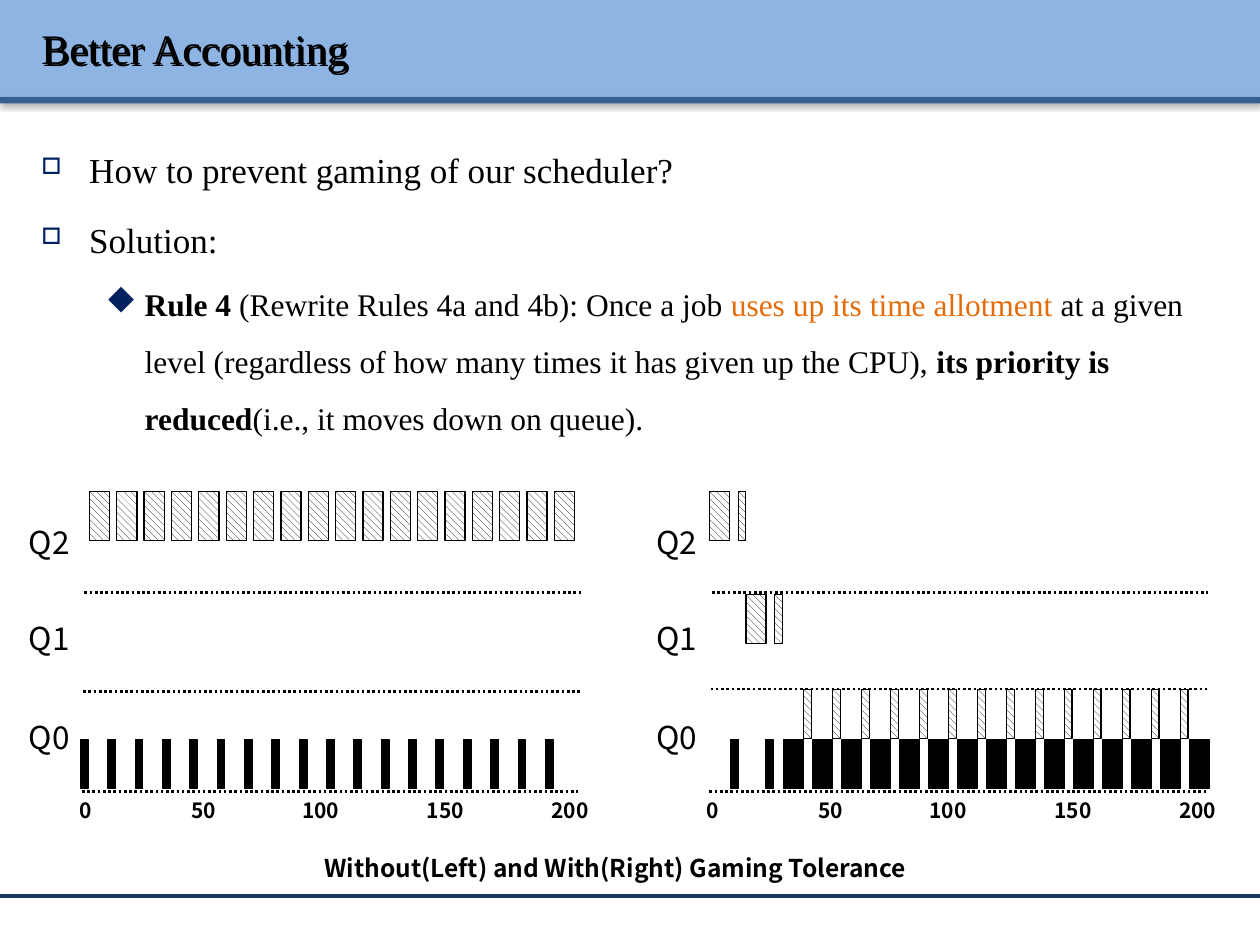
from lxml import etree
from pptx import Presentation
from pptx.dml.color import RGBColor
from pptx.enum.dml import MSO_LINE, MSO_PATTERN
from pptx.enum.shapes import MSO_CONNECTOR, MSO_SHAPE
from pptx.enum.text import MSO_ANCHOR, PP_ALIGN
from pptx.oxml import parse_xml
from pptx.oxml.ns import qn
from pptx.util import Inches, Pt

BLACK = RGBColor(0x00, 0x00, 0x00)
WHITE = RGBColor(0xFF, 0xFF, 0xFF)
SKY = RGBColor(0x8E, 0xB4, 0xE3)
BLUE = RGBColor(0x37, 0x60, 0x92)
NAVY = RGBColor(0x17, 0x37, 0x5E)
BULLET = RGBColor(0x00, 0x20, 0x60)
ORANGE = RGBColor(0xE4, 0x6C, 0x0A)
SERIF, SANS = "Times New Roman", "Noto Sans CJK KR"
LEFT, CENTER, RIGHT = PP_ALIGN.LEFT, PP_ALIGN.CENTER, PP_ALIGN.RIGHT
MIDDLE, TOP = MSO_ANCHOR.MIDDLE, MSO_ANCHOR.TOP
RECT, STRAIGHT = MSO_SHAPE.RECTANGLE, MSO_CONNECTOR.STRAIGHT
DOTTED, HATCH = MSO_LINE.ROUND_DOT, MSO_PATTERN.WIDE_DOWNWARD_DIAGONAL
SQUARE, DIAMOND = "o", "u"  # Wingdings codes
A = 'xmlns:a="http://schemas.openxmlformats.org/drawingml/2006/main"'
SHADOW = ('<a:outerShdw %s blurRad="%d" dist="%d" dir="%d" algn="tl" rotWithShape="0">'
          '<a:srgbClr val="000000"><a:alpha val="%d"/></a:srgbClr></a:outerShdw>')


def add_text(shapes, box, text, size, font, align, bold=False, anchor=MIDDLE):
    s = shapes.add_textbox(*[Inches(v) for v in box])
    tf = s.text_frame
    tf.word_wrap = True
    tf.vertical_anchor = anchor
    p = tf.paragraphs[0]
    p.alignment = align
    if text:
        r = p.add_run()
        r.text = text
        fmt = {"size": Pt(size), "name": font, "bold": bold}
        for key, value in fmt.items():
            setattr(r.font, key, value)
        r.font.color.rgb = BLACK
    return s


def add_line(shapes, x1, x2, y, color, width):
    s = shapes.add_connector(STRAIGHT, Inches(x1), Inches(y), Inches(x2), Inches(y))
    s.line.color.rgb = color
    s.line.width = Pt(width)
    etree.SubElement(s._element.spPr, qn("a:effectLst"))
    return s


prs = Presentation()
prs.slide_width, prs.slide_height = Inches(10), Inches(7.5)
slide = prs.slides.add_slide(prs.slide_layouts[6])

# Header band and footer rule
for y, h, color in [(0, 0.77, SKY), (0.77, 0.05, BLUE)]:
    s = slide.shapes.add_shape(RECT, 0, Inches(y), Inches(10), Inches(h))
    s.fill.solid()
    s.fill.fore_color.rgb = color
    s.line.fill.background()
    s.shadow.inherit = False
    effects = s._element.spPr.find(qn("a:effectLst"))
    effects.append(parse_xml(SHADOW % (A, Pt(3.1), Pt(1.6), 5400000, 38000)))
add_line(slide.shapes, 0, 10, 7.11, NAVY, 2)

# Title: the box has no fill, so its shadow falls from the letters
s = add_text(slide.shapes, (0.23, 0.06, 9.61, 0.64), "Better Accounting", 24, SERIF, LEFT)
effects = etree.SubElement(s._element.spPr, qn("a:effectLst"))
effects.append(parse_xml(SHADOW % (A, 0, Pt(1.5), 2700000, 100000)))

# Body: (level, indent, hang, bullet, bullet size %, text size, runs)
BODY = [
    (0, 0.38, 0.38, SQUARE, 65, 20, [("How to prevent gaming of our scheduler?", False, BLACK)]),
    (0, 0.38, 0.38, SQUARE, 65, 20, [("Solution:", False, BLACK)]),
    (1, 0.82, 0.31, DIAMOND, 100, 18, [
        ("Rule 4 ", True, BLACK),
        ("(Rewrite Rules 4a and 4b): Once a job ", False, BLACK),
        ("uses up its time allotment ", False, ORANGE),
        ("at a given level (regardless of how many times it has given up the CPU), ", False, BLACK),
        ("its priority is reduced", True, BLACK),
        ("(i.e., it moves down on queue).", False, BLACK)]),
]
s = add_text(slide.shapes, (0.23, 0.96, 9.61, 6.02), "", 20, SERIF, LEFT, anchor=TOP)
tf = s.text_frame
for i, (level, indent, hang, bullet, percent, size, runs) in enumerate(BODY):
    p = tf.paragraphs[0] if i == 0 else tf.add_paragraph()
    p.level = level
    p.line_spacing = 1.5
    pPr = p._p.get_or_add_pPr()
    pPr.set("marL", str(Inches(indent)))
    pPr.set("indent", str(-Inches(hang)))
    for xml in (f'<a:spcBef {A}><a:spcPct val="20000"/></a:spcBef>',
                f'<a:buClr {A}><a:srgbClr val="{BULLET}"/></a:buClr>',
                f'<a:buSzPct {A} val="{percent * 1000}"/>',
                f'<a:buFont {A} typeface="Wingdings" pitchFamily="2" charset="2"/>',
                f'<a:buChar {A} char="{bullet}"/>'):
        pPr.append(parse_xml(xml))
    for text, bold, color in runs:
        r = p.add_run()
        r.text = text
        fmt = {"size": Pt(size), "name": SERIF, "bold": bold}
        for key, value in fmt.items():
            setattr(r.font, key, value)
        r.font.color.rgb = color

# Timelines: bar rows are (first left, step, count, top, width, hatched)
WIDE, THIN, BAR_H = 0.16, 0.06, 0.39
Q2_TOP, Q1_TOP, Q0_UPPER, Q0_TOP = 3.9, 4.72, 5.47, 5.87
LEFT_STEP, RIGHT_STEP = 3.69 / 17, 0.23
PANELS = [
    (0, 5.49, [
        (0.64, LEFT_STEP, 18, Q0_TOP, THIN, False),
        (0.71, LEFT_STEP, 18, Q2_TOP, WIDE, True)]),
    (4.98, 5.47, [
        (5.8, 0.28, 2, Q0_TOP, THIN, False),
        (5.63, 0, 1, Q2_TOP, WIDE, True),
        (5.86, 0, 1, Q2_TOP, THIN, True),
        (5.92, 0, 1, Q1_TOP, WIDE, True),
        (6.15, 0, 1, Q1_TOP, THIN, True),
        (6.22, RIGHT_STEP, 15, Q0_TOP, WIDE, False),
        (6.38, RIGHT_STEP, 14, Q0_UPPER, THIN, True)]),
]
TICKS = [("0", 0.53, 0.24), ("50", 1.38, 0.47), ("100", 2.24, 0.61),
         ("150", 3.23, 0.61), ("200", 4.22, 0.61)]
QUEUES = [("Q2", 4.1), ("Q1", 4.86), ("Q0", 5.65)]

for shift, middle_y, rows in PANELS:
    shapes = slide.shapes.add_group_shape().shapes
    # Dotted queue borders
    for x, y in [(0.66, middle_y), (0.65, 6.28), (0.67, 4.7)]:
        s = add_line(shapes, x + shift, x + shift + 3.94, y, BLACK, 1.5)
        s.line.dash_style = DOTTED
    # Time and queue labels
    for text, x, w in TICKS:
        add_text(shapes, (x + shift, 6.28, w, 0.3), text, 12, SANS, CENTER, True)
    for text, y in QUEUES:
        add_text(shapes, (shift - 0.04, y, 0.69, 0.4), text, 18, SANS, RIGHT)
    # Job bars
    for first, step, count, y, w, hatched in rows:
        for i in range(count):
            s = shapes.add_shape(RECT, Inches(first + i * step), Inches(y),
                                 Inches(w), Inches(BAR_H))
            s.shadow.inherit = False
            if hatched:
                s.fill.patterned()
                s.fill.pattern = HATCH
                s.fill.back_color.rgb = WHITE
            else:
                s.fill.solid()
            s.fill.fore_color.rgb = BLACK
            s.line.color.rgb = BLACK
            s.line.width = Pt(0.75)

# Caption
add_text(slide.shapes, (1.3, 6.72, 7.17, 0.34),
         "Without(Left) and With(Right) Gaming Tolerance", 14, SANS, CENTER, True)

prs.save("out.pptx")
